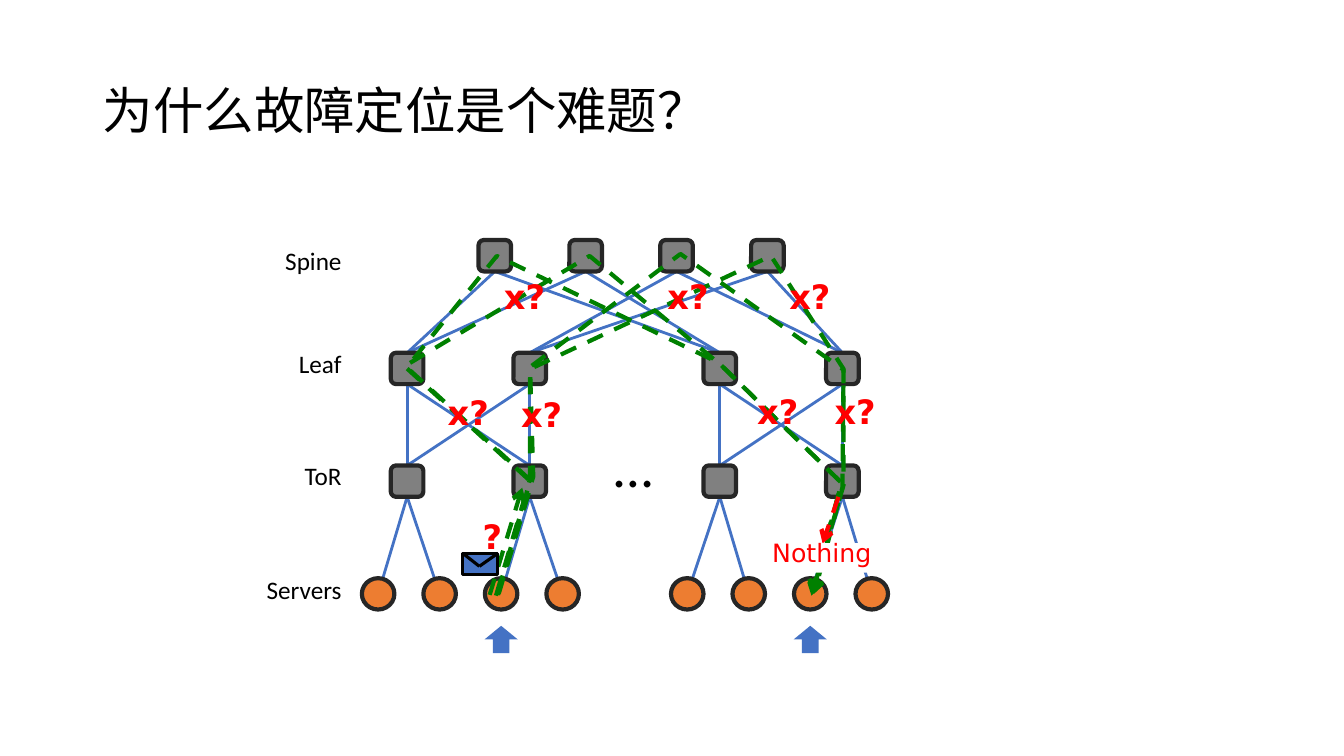
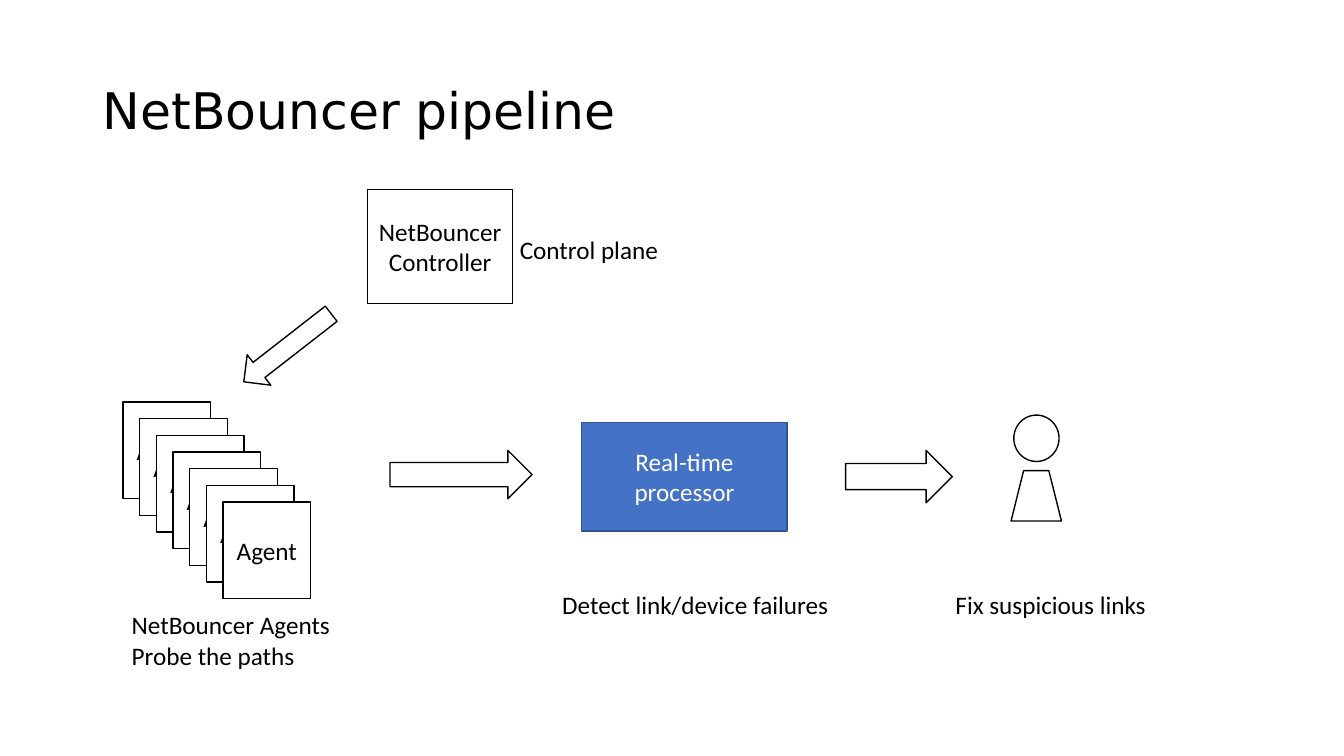
"""Build two slides on locating network faults: the problem and the NetBouncer pipeline."""
from pptx import Presentation
from pptx.dml.color import RGBColor
from pptx.enum.dml import MSO_LINE
from pptx.enum.shapes import MSO_CONNECTOR, MSO_SHAPE
from pptx.enum.text import MSO_ANCHOR, MSO_AUTO_SIZE, PP_ALIGN
from pptx.oxml.xmlchemy import OxmlElement
from pptx.shapes.connector import Connector
from pptx.util import Cm, Pt

COLORS = {
    "black": "000000", "white": "FFFFFF", "blue": "4472C4", "navy": "325491",
    "gray": "808080", "charcoal": "262626", "orange": "ED7D31",
    "green": "008000", "red": "FF0000",
}


def write(shape, text, size=18, font="Calibri", color="black", bold=False,
          align=PP_ALIGN.LEFT, anchor=MSO_ANCHOR.TOP, spacing=None, wrap=False):
    frame = shape.text_frame
    frame.text = text
    frame.word_wrap = wrap
    frame.auto_size = MSO_AUTO_SIZE.NONE
    frame.vertical_anchor = anchor
    for paragraph in frame.paragraphs:
        paragraph.alignment = align
        paragraph.line_spacing = spacing
        for run in paragraph.runs:
            run.font.size = Pt(size)
            run.font.name = font
            run.font.bold = bold
            run.font.color.rgb = RGBColor.from_string(COLORS[color])


def paint(shape, fill=None, line=None, width=1, dashed=False, arrow=False):
    if isinstance(shape, Connector):
        shape._element.spPr.append(OxmlElement("a:effectLst"))
    else:
        shape.shadow.inherit = False
        if fill:
            shape.fill.solid()
            shape.fill.fore_color.rgb = RGBColor.from_string(COLORS[fill])
        else:
            shape.fill.background()
    if line:
        shape.line.color.rgb = RGBColor.from_string(COLORS[line])
        shape.line.width = Pt(width)
    else:
        shape.line.fill.background()
    if dashed:
        shape.line.dash_style = MSO_LINE.DASH
    if arrow:
        tail = OxmlElement("a:tailEnd")
        tail.set("type", "arrow")
        shape.line._get_or_add_ln().append(tail)


prs = Presentation()
prs.slide_width, prs.slide_height = Cm(33.87), Cm(19.05)

canvases = []
for heading, heading_font in [("为什么故障定位是个难题？", "Calibri"),
                              ("NetBouncer pipeline", "DejaVu Sans")]:
    slide = prs.slides.add_slide(prs.slide_layouts[5])
    title = slide.shapes.title
    title.left, title.top, title.width, title.height = Cm(2.34), Cm(1.02), Cm(29.21), Cm(3.68)
    write(title, heading, size=36, font=heading_font, anchor=MSO_ANCHOR.MIDDLE,
          spacing=0.9, wrap=True)
    canvases.append(slide.shapes)
network, pipeline = canvases

NODE_W, NODE_H = 0.82, 0.79
spine_y, leaf_y, tor_y, server_y = [6.05 + 2.84 * tier for tier in range(4)]
spine_x = [12.47 + 2.29 * i for i in range(4)]
switch_x = [pod + 3.09 * i for pod in (10.26, 18.14) for i in range(2)]
server_x = [pod + 1.55 * i for pod in (9.53, 17.32) for i in range(4)]

links = []
for i, x in enumerate(switch_x):
    for k in range(2):
        links += [
            (x, tor_y + NODE_H, server_x[2 * i + k], server_y + NODE_H / 2),
            (x, leaf_y + NODE_H, switch_x[i // 2 * 2 + k], tor_y),
            (x, leaf_y, spine_x[i % 2 * 2 + k], spine_y + NODE_H),
        ]
for ends in links:
    paint(network.add_connector(MSO_CONNECTOR.STRAIGHT, *map(Cm, ends)), line="blue", width=2)

for label, top in [("Spine", 6.05), ("Leaf", 8.66), ("ToR", 11.48), ("Servers", 14.35)]:
    write(network.add_textbox(Cm(6.32), Cm(top), Cm(2.54), Cm(1.02)), label,
          align=PP_ALIGN.RIGHT)

for centers, top, outline, fill in [
    (spine_x, spine_y, MSO_SHAPE.ROUNDED_RECTANGLE, "gray"),
    (switch_x, leaf_y, MSO_SHAPE.ROUNDED_RECTANGLE, "gray"),
    (switch_x, tor_y, MSO_SHAPE.ROUNDED_RECTANGLE, "gray"),
    (server_x, server_y, MSO_SHAPE.FLOWCHART_CONNECTOR, "orange"),
]:
    for x in centers:
        node = network.add_shape(outline, Cm(x - NODE_W / 2), Cm(top), Cm(NODE_W), Cm(NODE_H))
        paint(node, fill=fill, line="charcoal", width=3)

write(network.add_textbox(Cm(14.99), Cm(11.48), Cm(1.93), Cm(1.27)), "…", size=40,
      align=PP_ALIGN.CENTER, spacing=0.5)
for x in (server_x[2], server_x[6]):
    pointer = network.add_shape(MSO_SHAPE.UP_ARROW, Cm(x - 0.42), Cm(15.77), Cm(0.84), Cm(0.69))
    paint(pointer, fill="blue")

routes = [
    [(12.55, 14.91), (13.36, 12.12), (10.24, 9.27), (12.52, 6.45),
     (18.11, 9.14), (21.21, 12.17), (20.45, 15.01)],
    [(12.57, 14.96), (13.41, 12.14), (10.21, 9.22), (14.86, 6.45),
     (18.19, 9.22), (21.21, 12.17), (20.45, 14.94)],
    [(12.5, 15.01), (13.36, 12.07), (13.36, 9.25), (17.15, 6.4),
     (21.26, 9.32), (21.26, 12.22), (20.47, 14.96)],
    [(12.55, 14.99), (13.44, 12.01), (13.36, 9.3), (19.43, 6.45),
     (21.26, 9.3), (21.23, 12.29), (20.52, 14.96)],
]
for route in routes:
    start, *hops = [(Cm(x), Cm(y)) for x, y in route]
    builder = network.build_freeform(*start)
    builder.add_line_segments(hops, close=False)
    paint(builder.convert_to_shape(), line="green", width=3, dashed=True, arrow=True)

for ends, color in [((12.34, 14.99, 13.16, 12.29), "green"),
                    ((21.13, 12.52, 20.73, 13.69), "red")]:
    probe = network.add_connector(MSO_CONNECTOR.STRAIGHT, *map(Cm, ends))
    paint(probe, line=color, width=3, dashed=True, arrow=True)

reply = network.add_shape(MSO_SHAPE.RECTANGLE, Cm(19.2), Cm(13.69), Cm(3.02), Cm(0.74))
paint(reply, fill="white")
write(reply, "Nothing", font="DejaVu Sans", color="red", align=PP_ALIGN.CENTER, spacing=0.6)

envelope = network.add_shape(MSO_SHAPE.RECTANGLE, Cm(11.66), Cm(13.94), Cm(0.89), Cm(0.53))
paint(envelope, fill="blue", line="black", width=2.25)
for corner in (11.66, 12.55):
    flap = network.add_connector(MSO_CONNECTOR.STRAIGHT, Cm(corner), Cm(13.94),
                                 Cm(12.08), Cm(14.27))
    paint(flap, line="black", width=2.25)

for doubt, left, top in [
    ("x?", 12.85, 10.16), ("x?", 11, 10.11), ("x?", 12.42, 7.19), ("x?", 20.75, 10.08),
    ("x?", 18.8, 10.08), ("x?", 16.54, 7.19), ("x?", 19.61, 7.19), ("?", 11.61, 13.23),
]:
    write(network.add_textbox(Cm(left), Cm(top), Cm(1.6), Cm(0.89)), doubt, size=24,
          font="DejaVu Sans", color="red", bold=True, align=PP_ALIGN.CENTER, spacing=0.6)

agents = [("Agent", 3.1 + 0.42 * i, 10.13 + 0.42 * i, 2.21, 2.44, "white", "black", "black")
          for i in range(7)]
for label, left, top, width, height, fill, line, color in agents + [
    ("NetBouncer Controller", 9.27, 4.78, 3.65, 2.87, "white", "black", "black"),
    ("Real-time processor", 14.66, 10.64, 5.18, 2.74, "blue", "navy", "white"),
]:
    stage = pipeline.add_shape(MSO_SHAPE.RECTANGLE, Cm(left), Cm(top), Cm(width), Cm(height))
    paint(stage, fill=fill, line=line)
    write(stage, label, color=color, align=PP_ALIGN.CENTER, anchor=MSO_ANCHOR.MIDDLE, wrap=True)

for outline, left, top, width, height, angle in [
    (MSO_SHAPE.DOWN_ARROW, 6.76, 7.37, 0.97, 2.79, 52.1),
    (MSO_SHAPE.RIGHT_ARROW, 9.83, 11.35, 3.58, 1.22, 0),
    (MSO_SHAPE.RIGHT_ARROW, 21.31, 11.35, 2.69, 1.32, 0),
    (MSO_SHAPE.OVAL, 25.55, 10.46, 1.14, 1.17, 0),
    (MSO_SHAPE.TRAPEZOID, 25.48, 11.86, 1.27, 1.27, 0),
]:
    figure = pipeline.add_shape(outline, Cm(left), Cm(top), Cm(width), Cm(height))
    figure.rotation = angle
    paint(figure, fill="white", line="black")

for caption, left, top, width, height in [
    ("NetBouncer Agents\nProbe the paths", 3.07, 15.24, 5.56, 1.8),
    ("Control plane", 12.85, 5.77, 4.04, 1.02),
    ("Detect link/device failures", 13.92, 14.73, 7.29, 1.02),
    ("Fix suspicious links", 23.83, 14.73, 5.36, 1.02),
]:
    write(pipeline.add_textbox(Cm(left), Cm(top), Cm(width), Cm(height)), caption)

prs.save("out.pptx")
